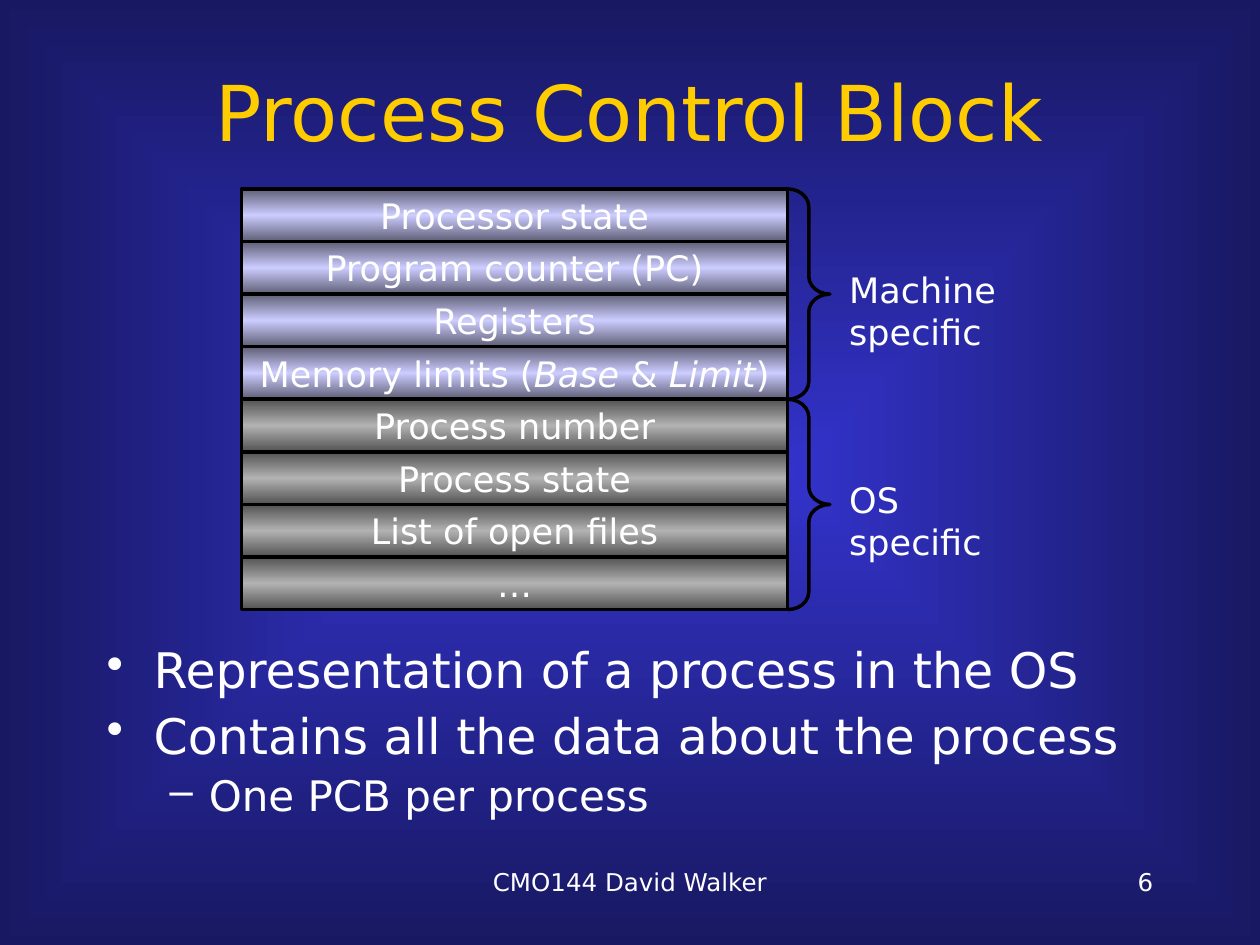
from lxml import etree
from pptx import Presentation
from pptx import util as u
from pptx.dml.color import RGBColor
from pptx.enum import shapes, text
from pptx.oxml import ns

FONT = "DejaVu Sans"
WHITE = "FFFFFF"
LEFT, CENTER, RIGHT = text.PP_ALIGN.LEFT, text.PP_ALIGN.CENTER, text.PP_ALIGN.RIGHT


def color(hex_code):
    return RGBColor.from_string(hex_code)


def child(parent, tag, **attributes):
    return etree.SubElement(parent, ns.qn(tag), attributes)


class Deck:
    def __init__(self):
        self.presentation = Presentation()
        self.presentation.slide_width = u.Cm(25.4)
        self.presentation.slide_height = u.Cm(19.05)
        self.slide = self.presentation.slides.add_slide(self.presentation.slide_layouts[6])

    def gradient(self, fill, owner, stops):
        fill.gradient()
        grad_fill = owner.find(".//" + ns.qn("a:gradFill"))
        for part in list(grad_fill):
            grad_fill.remove(part)
        stop_list = child(grad_fill, "a:gsLst")
        for position, hex_code in stops:
            stop = child(stop_list, "a:gs", pos=str(position * 1000))
            child(stop, "a:srgbClr", val=hex_code)
        return grad_fill

    def background(self, center, edge):
        grad_fill = self.gradient(
            self.slide.background.fill, self.slide.element, [(0, center), (100, edge)])
        path = child(grad_fill, "a:path", path="rect")
        child(path, "a:fillToRect", l="50000", t="50000", r="50000", b="50000")

    def style(self, paragraph, size, align=LEFT, hex_code=WHITE):
        paragraph.alignment = align
        paragraph.font.name = FONT
        paragraph.font.size = u.Pt(size)
        paragraph.font.color.rgb = color(hex_code)

    def text_frame(self, left, top, width, height):
        box = self.slide.shapes.add_textbox(u.Cm(left), u.Cm(top), u.Cm(width), u.Cm(height))
        box.text_frame.word_wrap = True
        return box.text_frame

    def label(self, words, left, top, width, height, size, align=LEFT,
              hex_code=WHITE, anchor=text.MSO_ANCHOR.TOP):
        frame = self.text_frame(left, top, width, height)
        frame.vertical_anchor = anchor
        frame.text = words
        self.style(frame.paragraphs[0], size, align, hex_code)

    def bullets(self, points, left, top, width, height):
        levels = [("•", 28, 0.95, -0.95, 7), ("–", 24, 2.06, -0.79, 6)]
        frame = self.text_frame(left, top, width, height)
        for index, (level, words) in enumerate(points):
            mark, size, margin, indent, space = levels[level]
            point = frame.add_paragraph() if index else frame.paragraphs[0]
            point.text = words
            point.level = level
            point.line_spacing = 0.9
            point.space_before = u.Pt(space if index else 0)
            properties = point._p.get_or_add_pPr()
            properties.set("marL", str(u.Cm(margin)))
            properties.set("indent", str(u.Cm(indent)))
            child(properties, "a:buChar", char=mark)
            self.style(point, size)

    def row(self, runs, left, top, width, height, dark, light):
        bar = self.slide.shapes.add_shape(
            shapes.MSO_SHAPE.RECTANGLE, u.Cm(left), u.Cm(top), u.Cm(width), u.Cm(height))
        bar.shadow.inherit = False
        grad_fill = self.gradient(
            bar.fill, bar._element, [(0, dark), (50, light), (100, dark)])
        child(grad_fill, "a:lin", ang="5400000", scaled="0")
        self.outline(bar)
        frame = bar.text_frame
        frame.word_wrap = False
        frame.vertical_anchor = text.MSO_ANCHOR.MIDDLE
        entry = frame.paragraphs[0]
        for index, words in enumerate(runs):
            run = entry.add_run()
            run.text = words
            if index % 2:
                run.font.italic = True
        self.style(entry, 20, CENTER)

    def brace(self, left, top, width, height):
        bracket = self.slide.shapes.add_shape(
            shapes.MSO_SHAPE.RIGHT_BRACE, u.Cm(left), u.Cm(top), u.Cm(width), u.Cm(height))
        bracket.adjustments[0] = 0.42
        bracket.shadow.inherit = False
        bracket.fill.background()
        self.outline(bracket)

    def outline(self, shape):
        shape.line.color.rgb = color("000000")
        shape.line.width = u.Pt(2)


def main():
    deck = Deck()
    deck.background("3333CC", "181862")
    deck.label("Process Control Block", 1.9, 0.64, 21.6, 3.18, 44, CENTER,
               "FFCC00", text.MSO_ANCHOR.MIDDLE)

    left, top, width, row_height = 4.87, 3.81, 11.01, 1.06
    groups = [
        ("Machine\vspecific", "5E5E75", "CCCCFF",
         [["Processor state"], ["Program counter (PC)"], ["Registers"],
          ["Memory limits (", "Base", " & ", "Limit", ")"]]),
        ("OS\vspecific", "525252", "B2B2B2",
         [["Process number"], ["Process state"], ["List of open files"], ["…"]]),
    ]
    for name, dark, light, fields in groups:
        group_height = row_height * len(fields)
        for index, runs in enumerate(fields):
            deck.row(runs, left, top + index * row_height, width, row_height, dark, light)
        deck.brace(left + width, top, 0.85, group_height)
        deck.label(name, 16.87, top + 1.47, 5, 1.9, 20)
        top += group_height

    deck.bullets([(0, "Representation of a process in the OS"),
                  (0, "Contains all the data about the process"),
                  (1, "One PCB per process")], 1.9, 12.91, 21.6, 4.02)
    deck.label("CMO144 David Walker", 8.68, 17.36, 8.04, 1.27, 14, CENTER)
    deck.label("6", 18.2, 17.36, 5.3, 1.27, 14, RIGHT)
    deck.presentation.save("out.pptx")


if __name__ == "__main__":
    main()
